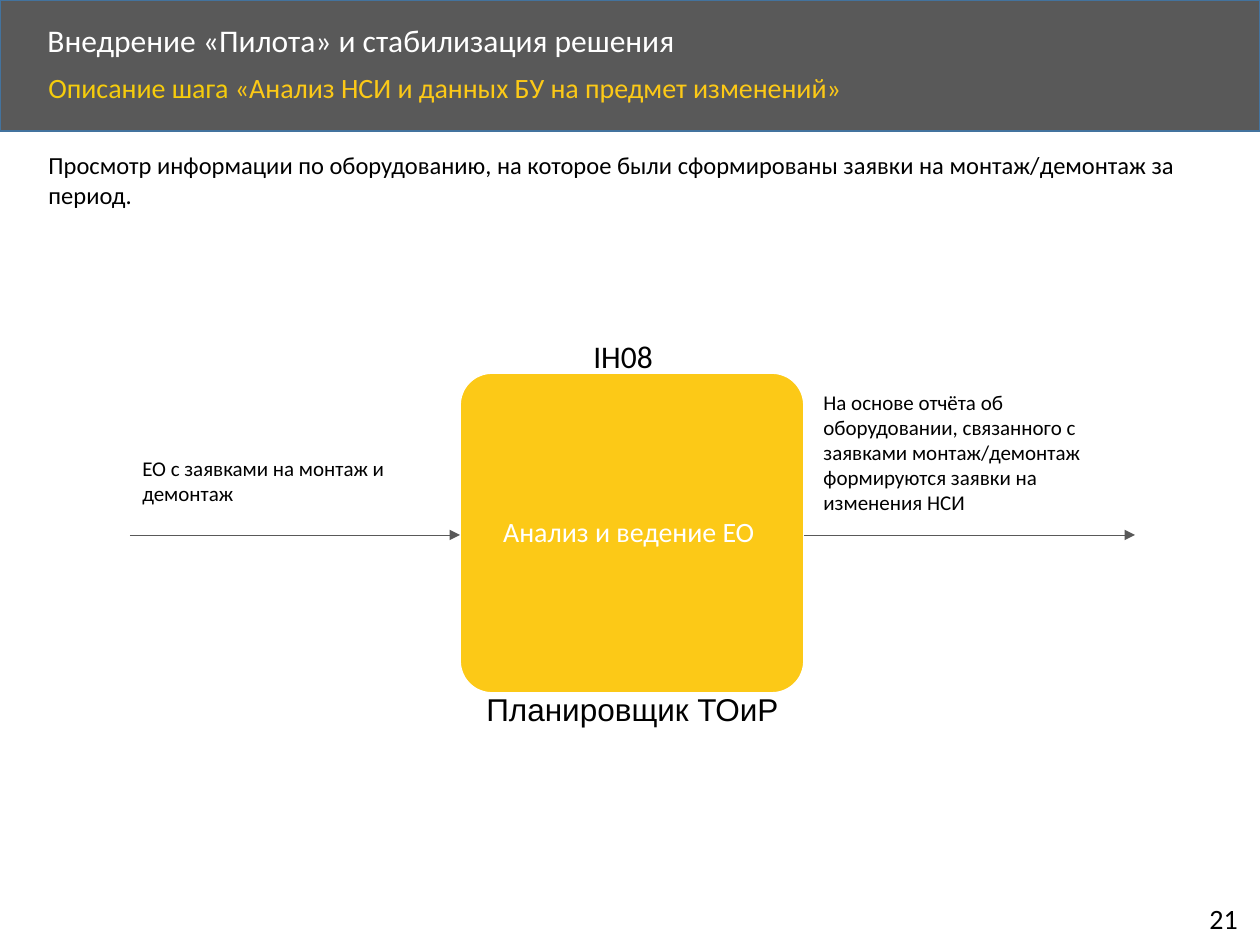
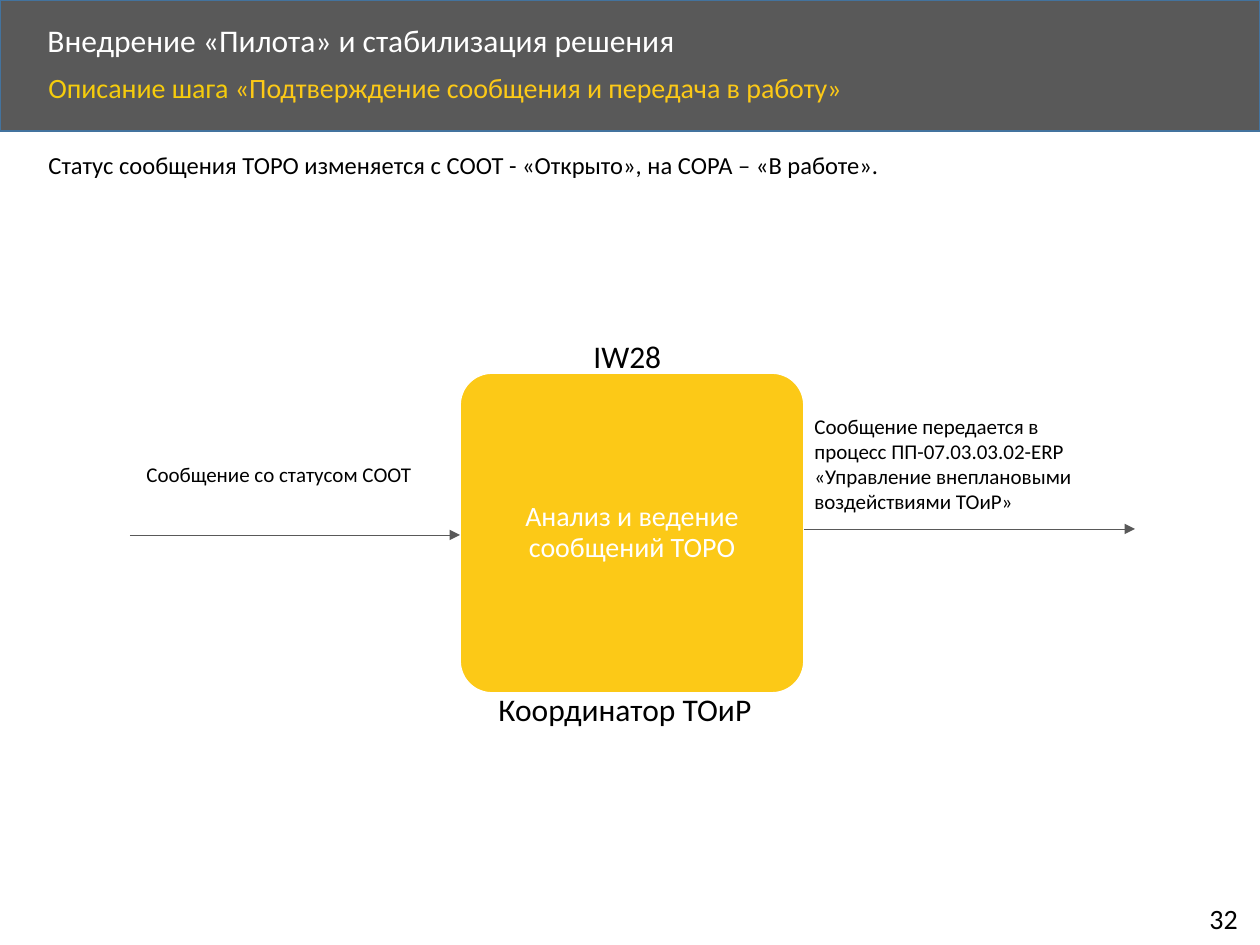
import pptx
import pptx.util
import pptx.dml.color
import pptx.enum.shapes
import pptx.enum.text
import pptx.oxml

PX = 7257.14  # EMU in one px, 126 px to the inch
SLIDE_W, SLIDE_H = 1260, 945

GREY = pptx.dml.color.RGBColor(0x59, 0x59, 0x59)
BLUE = pptx.dml.color.RGBColor(0x43, 0x73, 0x9E)
YELLOW = pptx.dml.color.RGBColor(0xFC, 0xC9, 0x17)
LEMON = pptx.dml.color.RGBColor(0xF6, 0xCC, 0x0C)
WHITE = pptx.dml.color.RGBColor(0xFF, 0xFF, 0xFF)
BLACK = pptx.dml.color.RGBColor(0x00, 0x00, 0x00)

LEFT = pptx.enum.text.PP_ALIGN.LEFT
CENTER = pptx.enum.text.PP_ALIGN.CENTER
MIDDLE = pptx.enum.text.MSO_ANCHOR.MIDDLE
FIXED = pptx.enum.text.MSO_AUTO_SIZE.NONE
GROW = pptx.enum.text.MSO_AUTO_SIZE.SHAPE_TO_FIT_TEXT
SHAPES = pptx.enum.shapes.MSO_SHAPE

TITLE = "Внедрение «Пилота» и стабилизация решения"
CARD = (460, 373, 344, 320)
ARROW_LEFT, ARROW_RIGHT = 130, 1135
SHARED_ARROW_Y = 535

STEPS = [
    {
        "number": "21",
        "step": "«Анализ НСИ и данных БУ на предмет изменений»",
        "summary": "Просмотр информации по оборудованию, на которое были "
                   "сформированы заявки на монтаж/демонтаж за период.",
        "summary_height": 72,
        "action": "Анализ и ведение ЕО ",
        "transaction": ("IH08", 86),
        "role": ("Планировщик ТОиР", (474, 684, 318, 50), "Arial", LEFT),
        "input": ("ЕО с заявками на монтаж и демонтаж", (130, 449, 323, 63)),
        "output": ("На основе отчёта об оборудовании, связанного с заявками "
                   "монтаж/демонтаж формируются заявки на изменения НСИ",
                   (811, 383, 324, 140)),
        "output_y": SHARED_ARROW_Y,
    },
    {
        "number": "32",
        "step": "«Подтверждение сообщения и передача в работу»",
        "summary": "Статус сообщения ТОРО изменяется с СООТ - «Открыто», "
                   "на СОРА – «В работе».",
        "summary_height": 43,
        "action": "Анализ и ведение сообщений ТОРО",
        "transaction": ("IW28", 94),
        "role": ("Координатор ТОиР ", (449, 684, 359, 50), "Calibri", CENTER),
        "input": ("Сообщение со статусом СООТ", (134, 455, 323, 38)),
        "output": ("Сообщение передается в процесс ПП-07.03.03.02-ERP "
                   "«Управление внеплановыми воздействиями ТОиР»",
                   (802, 407, 324, 115)),
        "output_y": 529,
    },
]


def px(*lengths):
    return [round(length * PX) for length in lengths]


def write(shape, runs, size, font="Calibri", frame_format=None, paragraph_format=None):
    """Fill a shape with one paragraph of (text, colour) runs."""
    frame = shape.text_frame
    for name, value in {"word_wrap": True, "auto_size": GROW, **(frame_format or {})}.items():
        setattr(frame, name, value)
    paragraph = frame.paragraphs[0]
    for name, value in (paragraph_format or {}).items():
        setattr(paragraph, name, value)
    for text, colour in runs:
        run = paragraph.add_run()
        run.text = text
        for name, value in {"name": font, "size": pptx.util.Pt(size)}.items():
            setattr(run.font, name, value)
        run.font.color.rgb = colour


deck = pptx.Presentation()
deck.slide_width, deck.slide_height = px(SLIDE_W, SLIDE_H)

for step in STEPS:
    slide = deck.slides.add_slide(deck.slide_layouts[6])
    shapes = slide.shapes

    # Header band and process card
    band = shapes.add_shape(SHAPES.RECTANGLE, *px(0, 0, SLIDE_W, 131))
    card = shapes.add_shape(SHAPES.ROUNDED_RECTANGLE, *px(*CARD))
    card.adjustments[0] = 0.1
    for panel, fill, outline in ((band, GREY, BLUE), (card, YELLOW, WHITE)):
        panel.shadow.inherit = False
        panel.fill.solid()
        panel.fill.fore_color.rgb = fill
        panel.line.color.rgb = outline
        panel.line.width = pptx.util.Pt(1)
    side, edge = px(9, 11)
    write(card, [(step["action"], WHITE)], 16,
          frame_format={"auto_size": FIXED, "vertical_anchor": MIDDLE,
                        "margin_left": side, "margin_right": side,
                        "margin_top": edge, "margin_bottom": edge},
          paragraph_format={"alignment": CENTER, "line_spacing": 0.9})

    # Title, step name and page number
    write(shapes.add_textbox(*px(35, 18, 1017, 48)), [(TITLE, WHITE)], 18,
          frame_format={"auto_size": FIXED, "vertical_anchor": MIDDLE},
          paragraph_format={"line_spacing": 0.9})
    write(shapes.add_textbox(*px(36, 68, 1090, 57)),
          [("Описание шага ", LEMON), (step["step"], YELLOW)], 16,
          frame_format={"auto_size": FIXED}, paragraph_format={"line_spacing": 0.9})
    write(shapes.add_textbox(*px(1197, 895, 58, 47)), [(step["number"], BLACK)], 16,
          frame_format={"word_wrap": False})

    # Summary
    write(shapes.add_textbox(*px(36, 144, 1192, step["summary_height"])),
          [(step["summary"], BLACK)], 14)

    # Arrows into and out of the card
    card_left, card_right = CARD[0], CARD[0] + CARD[2]
    for start, end, y in ((ARROW_LEFT, card_left, SHARED_ARROW_Y),
                          (card_right, ARROW_RIGHT, step["output_y"])):
        arrow = shapes.add_connector(pptx.enum.shapes.MSO_CONNECTOR.STRAIGHT,
                                     *px(start, y, end, y))
        arrow.line.color.rgb = GREY
        arrow.line.width = pptx.util.Pt(0.5)
        head = pptx.oxml.ns.qn("a:tailEnd")
        arrow.line._get_or_add_ln().makeelement(head)
        outline = arrow.line._get_or_add_ln()
        outline.append(outline.makeelement(head, {"type": "triangle"}))
        properties = arrow._element.spPr
        properties.append(properties.makeelement(pptx.oxml.ns.qn("a:effectLst")))

    # Input and output captions
    for caption, box in (step["input"], step["output"]):
        write(shapes.add_textbox(*px(*box)), [(caption, BLACK)], 12)

    # Transaction above the card, role below it
    code, code_width = step["transaction"]
    write(shapes.add_textbox(*px(581, 331, code_width, 50)), [(code, BLACK)], 18,
          frame_format={"word_wrap": False})
    role, box, font, alignment = step["role"]
    write(shapes.add_textbox(*px(*box)), [(role, BLACK)], 18, font,
          paragraph_format={"alignment": alignment})

deck.save("out.pptx")
